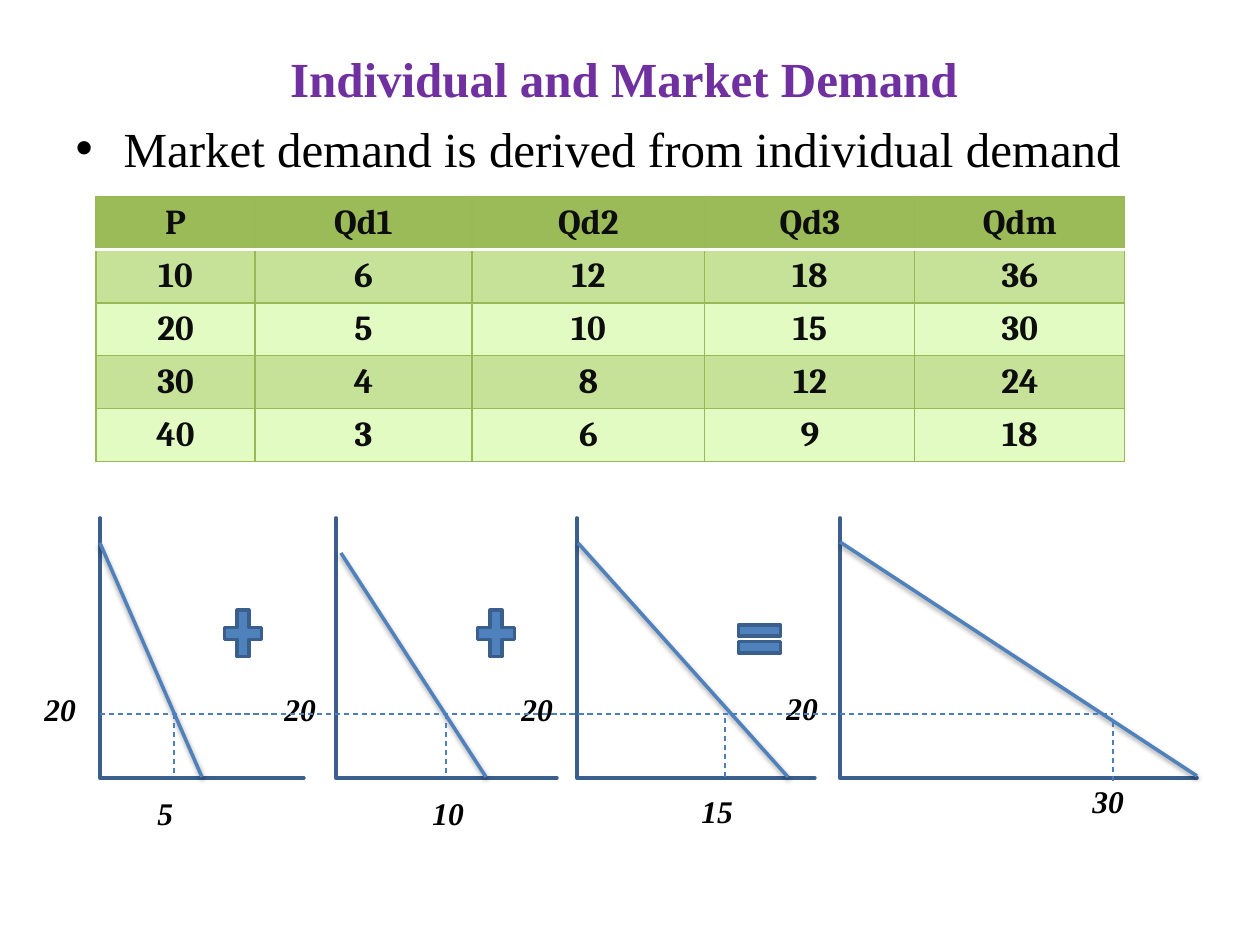
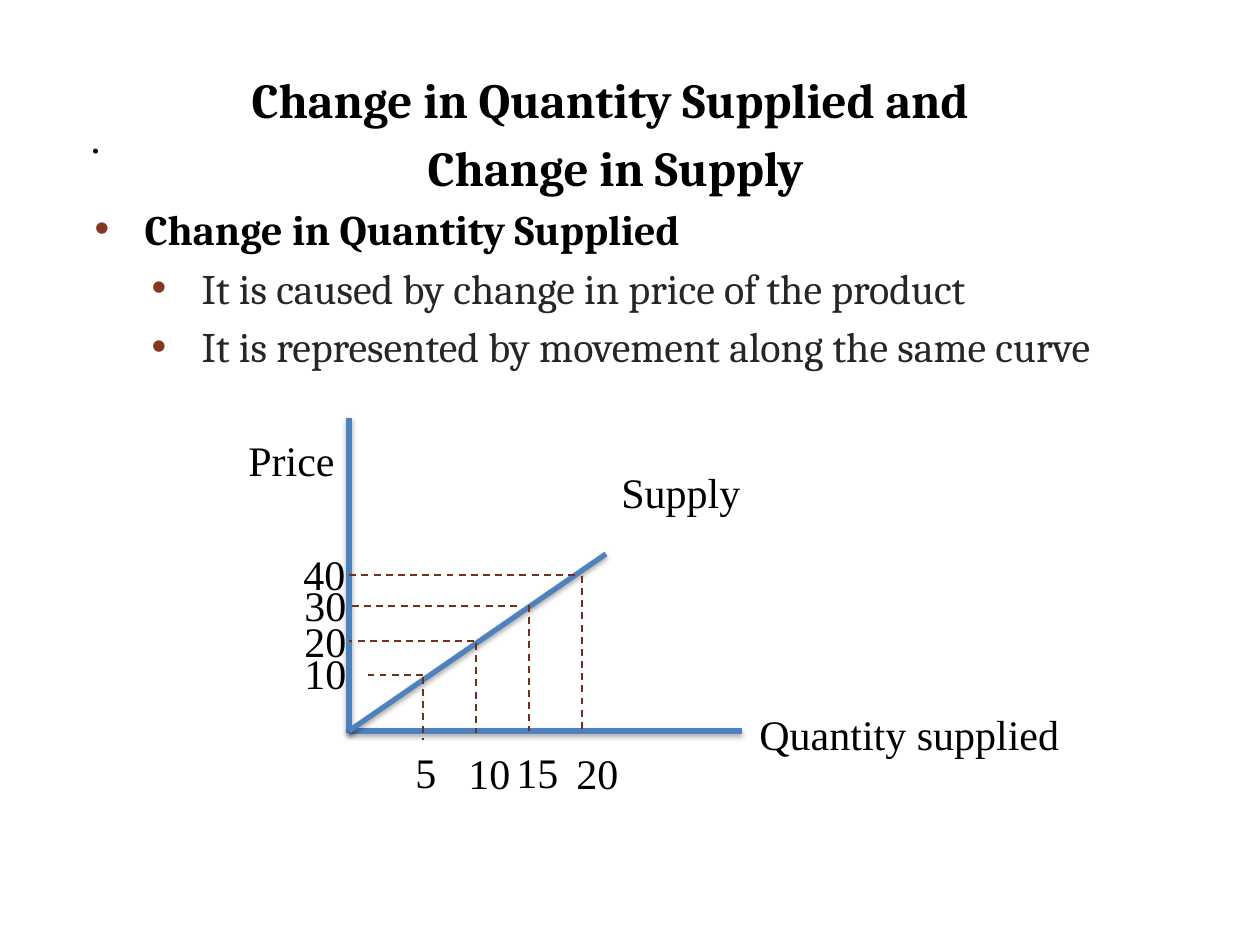
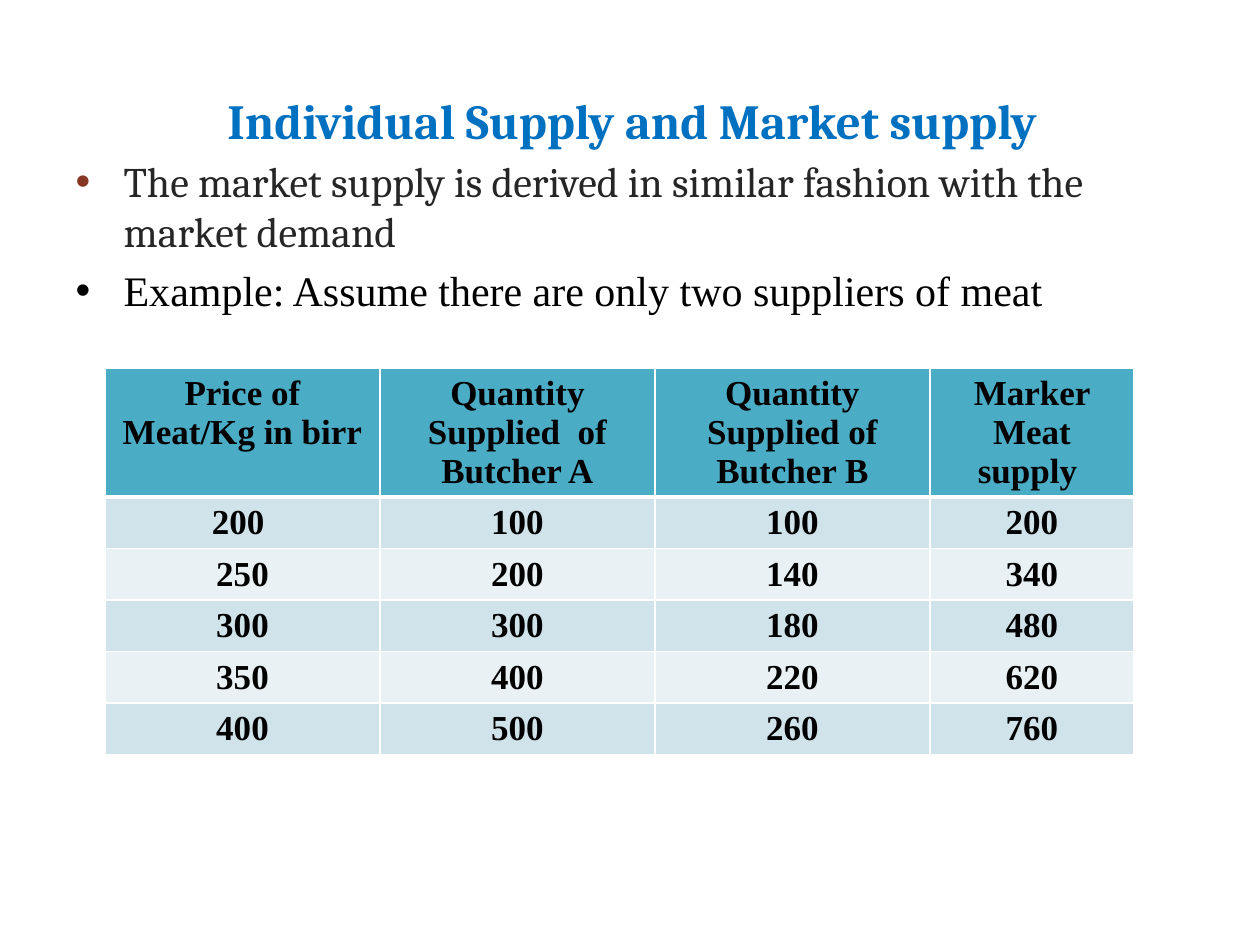
from itertools import accumulate
from lxml import etree
from pptx import Presentation
from pptx import util as u
from pptx.dml.color import RGBColor
from pptx.enum import dml, shapes, text
from pptx.oxml import ns

PX = u.Emu(914400 / 126)
TIMES, CAMBRIA = "Times New Roman", "Cambria"
COLORS = {
    "black": "000000", "ink": "262626", "cell_ink": "0D0D0D", "white": "FFFFFF",
    "purple": "7030A0", "title_blue": "0070C0", "bullet": "873624",
    "blue": "4F81BD", "outline": "3A5F8C", "guide_blue": "4B7EBC", "guide_red": "742E1F",
    "green": "9BBB59", "green_edge": "98B955", "green_dark": "C6E298", "green_light": "E2FBC2",
    "teal": "4BACC6", "teal_dark": "D0E3EA", "teal_light": "E9F1F5",
}
CURVE = {"color": "blue", "width": 2, "shadow": 38}
SUPPLY_LINE = {"color": "blue", "width": 3, "shadow": 35}
DEMAND_GUIDE = {"color": "guide_blue", "width": 0.75, "dash": True}
SUPPLY_GUIDE = {"color": "guide_red", "width": 1, "dash": True}
DEMAND_LABEL = {"name": TIMES, "size": 18, "color": "black", "bold": True, "italic": True}
PLAIN = {"name": TIMES, "size": 24, "color": "black", "bold": False}
BODY = {"name": CAMBRIA, "size": 24, "color": "ink", "bold": False}
GREEN_TABLE = {
    "fills": ("green_dark", "green_light"), "header": "green",
    "border": ("green_edge", 0.75), "rule": ("white", 2),
    "font": {"name": CAMBRIA, "size": 20, "color": "cell_ink", "bold": True},
}
TEAL_TABLE = {
    "fills": ("teal_dark", "teal_light"), "header": "teal",
    "border": ("white", 1), "rule": ("white", 3),
    "font": {"name": TIMES, "size": 20, "color": "black", "bold": True},
}


def px(*values):
    return [u.Emu(round(value * PX)) for value in values]


def rgb(name):
    return RGBColor.from_string(COLORS[name])


def add_xml(parent, tag, **attributes):
    return etree.SubElement(parent, ns.qn(tag), {key: str(value) for key, value in attributes.items()})


def write(paragraph, words, style):
    run = paragraph.add_run()
    run.text = words
    for key, value in style.items():
        if key == "color":
            run.font.color.rgb = rgb(value)
        else:
            setattr(run.font, key, u.Pt(value) if key == "size" else value)


def place(shape, box):
    for key, value in zip(("left", "top", "width", "height"), px(*box)):
        setattr(shape, key, value)
    frame = shape.text_frame
    settings = {"word_wrap": True, "auto_size": text.MSO_AUTO_SIZE.NONE,
                "vertical_anchor": text.MSO_ANCHOR.TOP}
    for key, value in settings.items():
        setattr(frame, key, value)
    return frame


def paragraphs(frame, count):
    return [frame.paragraphs[0]] + [frame.add_paragraph() for _ in range(count - 1)]


def add_title(slide, lines, box, font, color):
    frame = place(slide.shapes.title, box)
    style = {"name": font, "size": 28, "color": color, "bold": True}
    for index, (paragraph, line) in enumerate(zip(paragraphs(frame, len(lines)), lines)):
        paragraph.alignment = text.PP_ALIGN.CENTER
        paragraph.space_before = u.Pt(5.6 if index else 0)
        write(paragraph, line, style)


def add_list(slide, items, box):
    frame = place(slide.placeholders[1], box)
    for index, (paragraph, item) in enumerate(zip(paragraphs(frame, len(items)), items)):
        words, style, level, margin, bullet = item
        paragraph.level = level
        paragraph.space_before = u.Pt(style["size"] / 5 if index else 0)
        properties = paragraph._p.get_or_add_pPr()
        properties.set("marL", str(px(margin)[0]))
        properties.set("indent", str(px(-50 if margin > 48 else -48)[0]))
        add_xml(add_xml(properties, "a:buClr"), "a:srgbClr", val=COLORS[bullet])
        add_xml(properties, "a:buFont", typeface="Arial")
        add_xml(properties, "a:buChar", char="•")
        write(paragraph, words, style)


def add_label(slide, words, box, style):
    frame = slide.shapes.add_textbox(*px(*box)).text_frame
    frame.word_wrap = False
    write(frame.paragraphs[0], words, style)


def add_line(slide, start, end, style):
    line = slide.shapes.add_connector(shapes.MSO_CONNECTOR.STRAIGHT, *px(*start, *end))
    line.line.color.rgb = rgb(style["color"])
    line.line.width = u.Pt(style["width"])
    if style.get("dash"):
        line.line.dash_style = dml.MSO_LINE.DASH
    effects = add_xml(line._element.spPr, "a:effectLst")
    if "shadow" in style:
        shadow = add_xml(effects, "a:outerShdw", blurRad=u.Pt(3.1), dist=u.Pt(1.6),
                         dir=5400000, rotWithShape=0)
        color = add_xml(shadow, "a:srgbClr", val=COLORS["black"])
        add_xml(color, "a:alpha", val=style["shadow"] * 1000)


def add_blue_shape(slide, kind, box):
    shape = slide.shapes.add_shape(kind, *px(*box))
    shape.shadow.inherit = False
    shape.fill.solid()
    shape.fill.fore_color.rgb = rgb("blue")
    shape.line.color.rgb = rgb("outline")
    shape.line.width = u.Pt(2)
    return shape


def add_axes(slide, box):
    axes = add_blue_shape(slide, shapes.MSO_SHAPE.HALF_FRAME, box)
    for index in range(2):
        axes.adjustments[index] = 0
    axes._element.spPr.find(ns.qn("a:xfrm")).set("flipV", "1")


def set_borders(cell, edges):
    properties = cell._tc.get_or_add_tcPr()
    for index, (side, (color, width)) in enumerate(edges.items()):
        line = etree.Element(ns.qn("a:ln" + side), w=str(u.Pt(width)))
        add_xml(add_xml(line, "a:solidFill"), "a:srgbClr", val=COLORS[color])
        properties.insert(index, line)


def add_grid(slide, rows, origin, widths, heights, style):
    box = (*origin, sum(widths), sum(heights))
    table = slide.shapes.add_table(len(rows), len(widths), *px(*box)).table
    for column, width in zip(table.columns, px(*widths)):
        column.width = width
    for index, (row, height, words) in enumerate(zip(table.rows, px(*heights), rows)):
        row.height = height
        edges = dict.fromkeys("LRTB", style["border"])
        if index < 2:
            edges["T" if index else "B"] = style["rule"]
        fill = style["fills"][(index - 1) % 2] if index else style["header"]
        for cell, value in zip(row.cells, words):
            cell.fill.solid()
            cell.fill.fore_color.rgb = rgb(fill)
            set_borders(cell, edges)
            paragraph = cell.text_frame.paragraphs[0]
            paragraph.alignment = text.PP_ALIGN.CENTER
            write(paragraph, str(value), style["font"])


def add_demand_panel(slide, axes, curve, price_label, quantity, quantity_label, guide):
    left, width = axes
    add_axes(slide, (left, 518, width, 260))
    add_line(slide, *curve, CURVE)
    add_label(slide, "20", (*price_label, 57, 50), DEMAND_LABEL)
    add_label(slide, quantity, (*quantity_label, 57, 50), DEMAND_LABEL)
    x, top = guide
    add_line(slide, (x, top), (x, top + 62), DEMAND_GUIDE)


def build_demand(slide):
    add_title(slide, ["Individual and Market Demand "], (63, 42, 1134, 68), TIMES, "purple")
    add_list(slide, [("Market demand is derived from individual demand",
                      {**PLAIN, "size": 28}, 0, 48, "black")], (63, 112, 1134, 70))
    rows = [["P", "Qd1", "Qd2", "Qd3", "Qdm"]]
    for step in range(4):
        first = 6 - step
        rows.append([10 * (step + 1), first, 2 * first, 3 * first, 6 * first])
    add_grid(slide, rows, (96, 197), (159, 217, 233, 210, 210), [53] * 5, GREEN_TABLE)
    panels = [
        ((100, 204), ((100, 543), (202, 777)), (32, 684), "5", (145, 788), (174, 714)),
        ((336, 221), ((341, 553), (486, 777)), (272, 684), "10", (420, 788), (446, 714)),
        ((577, 238), ((578, 543), (788, 777)), (509, 684), "15", (689, 786), (725, 718)),
        ((840, 357), ((840, 542), (1197, 776)), (774, 683), "30", (1080, 776), (1113, 722)),
    ]
    for panel in panels:
        add_demand_panel(slide, *panel)
    add_line(slide, (100, 714), (1113, 714), DEMAND_GUIDE)
    for left in (218, 471):
        add_blue_shape(slide, shapes.MSO_SHAPE.MATH_PLUS, (left, 602, 50, 63))
    add_blue_shape(slide, shapes.MSO_SHAPE.MATH_EQUAL, (731, 615, 57, 48))


def build_supply_change(slide):
    add_label(slide, ".", (78, 105, 40, 63), PLAIN)
    add_title(slide, ["Change in Quantity Supplied and ", "Change in Supply"],
              (82, 63, 1067, 136), CAMBRIA, "black")
    heading = {**BODY, "color": "black", "bold": True}
    add_list(slide, [
        ("Change in Quantity Supplied", heading, 0, 50, "bullet"),
        ("It is caused by change in price of the product", BODY, 1, 107, "bullet"),
        ("It is represented by movement along the same curve", BODY, 1, 107, "bullet"),
    ], (82, 197, 1067, 190))
    origin = (349, 731)
    for start, end in (((742, 731), origin), ((349, 418), (349, 733)), (origin, (606, 554))):
        add_line(slide, start, end, SUPPLY_LINE)
    for words, box in (("Price", (236, 428, 123, 63)), ("Supply", (609, 460, 166, 63)),
                       ("Quantity supplied", (747, 702, 349, 63))):
        add_label(slide, words, box, PLAIN)
    points = [
        ("10", (292, 641), (423, 365 + 3, 675), "5", (403, 740), (423, 677, 740)),
        ("20", (292, 609), (474, 349, 641), "10", (456, 741), (476, 643, 733)),
        ("30", (292, 573), (517, 349, 606), "15", (504, 740), (529, 605, 731)),
        ("40", (291, 542), (575, 349, 575), "20", (564, 741), (582, 576, 730)),
    ]
    for price, price_label, (right, left, y), quantity, quantity_label, (x, top, bottom) in points:
        add_line(slide, (right, y), (left, y), SUPPLY_GUIDE)
        add_line(slide, (x, top), (x, bottom), SUPPLY_GUIDE)
        add_label(slide, price, (*price_label, 68, 63), PLAIN)
        add_label(slide, quantity, (*quantity_label, 26 + 21 * len(quantity), 63), PLAIN)


def build_market_supply(slide):
    add_title(slide, ["Individual Supply and Market supply "], (78, 84, 1119, 66),
              CAMBRIA, "title_blue")
    add_list(slide, [
        ("The market supply is derived in similar fashion with the market demand",
         BODY, 0, 48, "bullet"),
        ("Example: Assume there are only two suppliers of meat", PLAIN, 0, 48, "black"),
    ], (63, 149, 1134, 180))
    rows = [
        ["Price of Meat/Kg in birr", "Quantity Supplied  of Butcher A",
         "Quantity Supplied of Butcher B", "Marker Meat supply "],
        ["200 ", 100, 100, 200],
    ]
    for step in range(1, 5):
        butcher_a, butcher_b = 100 + 100 * step, 100 + 40 * step
        rows.append([200 + 50 * step, butcher_a, butcher_b, butcher_a + butcher_b])
    add_grid(slide, rows, (105, 368), (275, 275, 275, 204), [129] + [51] * 5, TEAL_TABLE)


def main():
    presentation = Presentation()
    presentation.slide_width, presentation.slide_height = u.Inches(10), u.Inches(7.5)
    for build in (build_demand, build_supply_change, build_market_supply):
        build(presentation.slides.add_slide(presentation.slide_layouts[1]))
    presentation.save("out.pptx")


if __name__ == "__main__":
    main()
